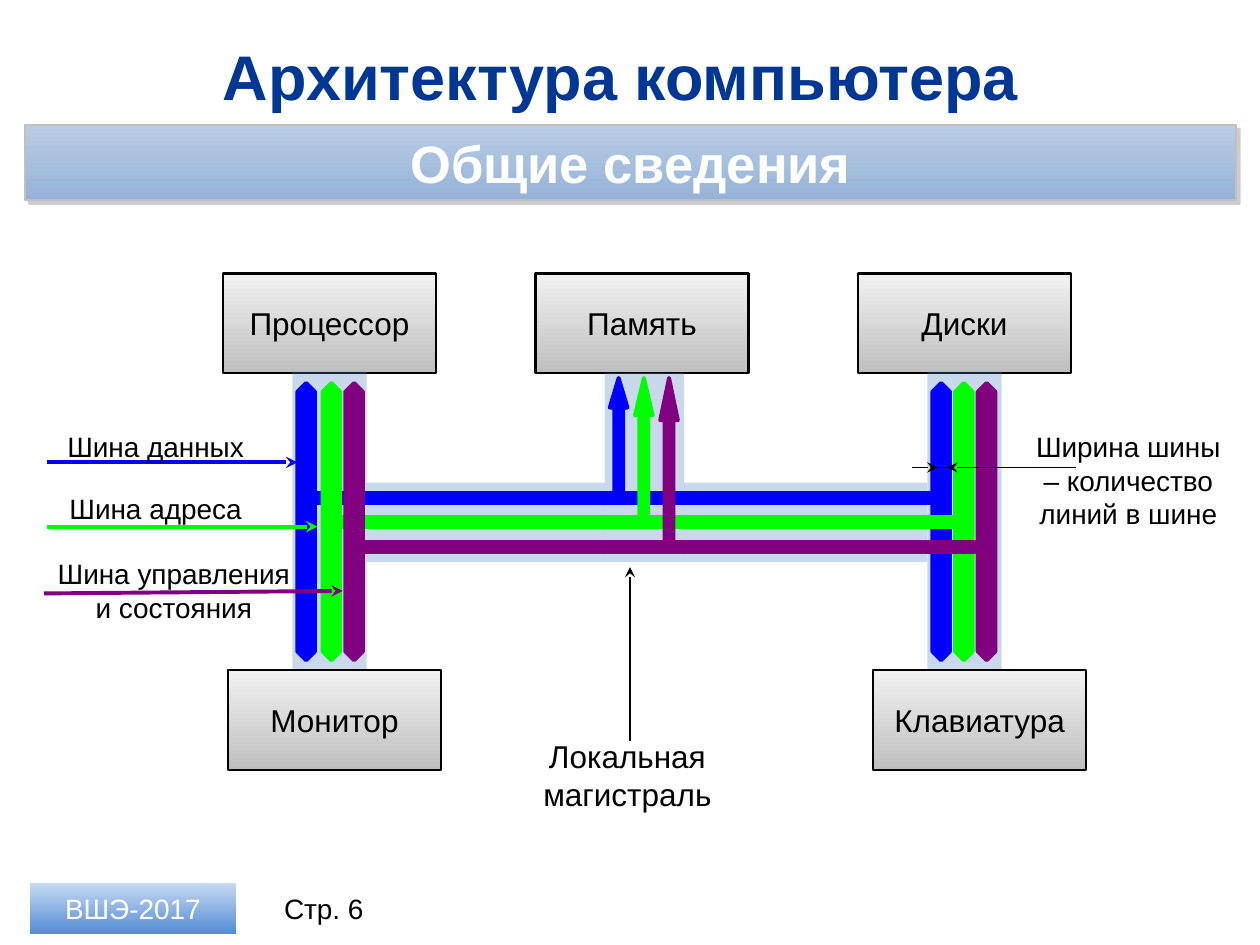
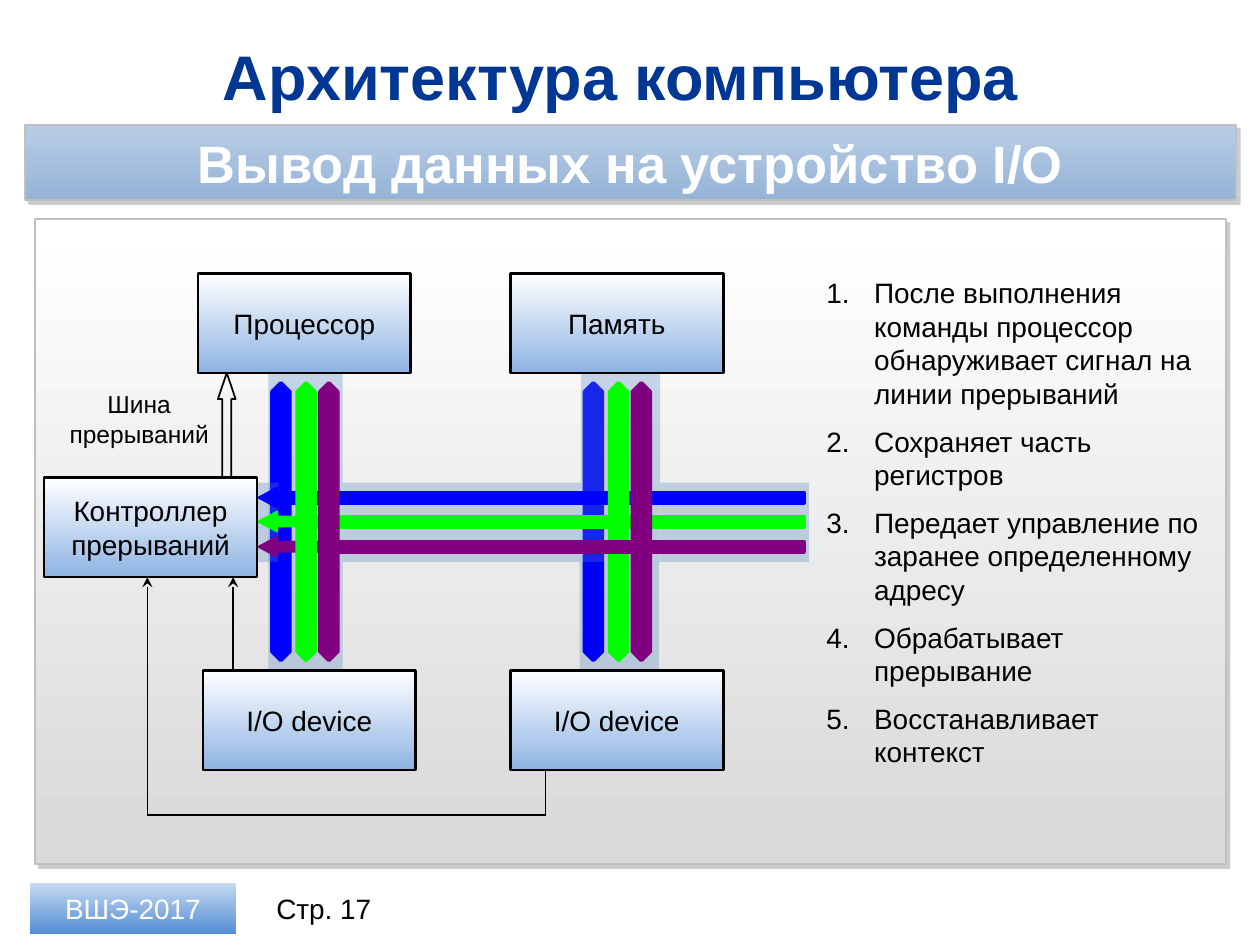
from lxml.etree import SubElement
from pptx import Presentation
from pptx.dml.color import RGBColor
from pptx.enum.shapes import MSO_CONNECTOR, MSO_SHAPE
from pptx.enum.text import MSO_ANCHOR, PP_ALIGN
from pptx.oxml.ns import qn
from pptx.util import Inches, Pt

COLUMNS, ROWS = 100, 75
BLACK = RGBColor(0x00, 0x00, 0x00)
WHITE = RGBColor(0xFF, 0xFF, 0xFF)
NAVY = RGBColor(0x00, 0x37, 0x94)
DATA_BLUE = RGBColor(0x00, 0x00, 0xFF)
ADDRESS_GREEN = RGBColor(0x00, 0xFF, 0x00)
CONTROL_PURPLE = RGBColor(0x80, 0x00, 0x80)
TINT_BLUE = RGBColor(0x4F, 0x81, 0xBD)
EDGE_GREY = RGBColor(0xC0, 0xC0, 0xC0)
SHADOW_GREY = RGBColor(0x80, 0x80, 0x80)
BAND_FADE = (RGBColor(0xB9, 0xCD, 0xE5), RGBColor(0x95, 0xB3, 0xD7))
BADGE_FADE = (RGBColor(0xC6, 0xD9, 0xF1), RGBColor(0x55, 0x8E, 0xD5))
PANEL_FADE = (WHITE, RGBColor(0xD9, 0xD9, 0xD9))
GREY_FADE = (RGBColor(0xF2, 0xF2, 0xF2), RGBColor(0xBF, 0xBF, 0xBF))
BLUE_FADE = (WHITE, RGBColor(0x8E, 0xB4, 0xE3))

BUSES = (DATA_BLUE, ADDRESS_GREEN, CONTROL_PURPLE)
BUS_TOPS = (39.1, 41, 43)
LANES = (0, 2, 3.8)
ARROW_WIDTH = 1.4
UPPER_ROW, LOWER_ROW = 21.7, 53.2


class Sheet:
    font_name = "Arial"

    def __init__(self):
        self.deck = Presentation()
        self.deck.slide_width = Inches(10)
        self.deck.slide_height = Inches(7.5)
        self.page = None

    def across(self, columns):
        return round(self.deck.slide_width * columns / COLUMNS)

    def down(self, rows):
        return round(self.deck.slide_height * rows / ROWS)

    def place(self, area):
        left, top, width, height = area
        return self.across(left), self.down(top), self.across(width), self.down(height)

    def start(self, subtitle, number):
        self.page = self.deck.slides.add_slide(self.deck.slide_layouts[6])
        self.label((2.8, 2.6, 92.9, 6.8), "Архитектура компьютера", 36,
                   NAVY, bold=True, anchor=MSO_ANCHOR.MIDDLE)
        band = self.shape((2, 9.9, 96.1, 6), BAND_FADE, EDGE_GREY)
        self.cast_shadow(band)
        self.fill_text(band.text_frame, [subtitle], 30, WHITE, bold=True)
        badge = self.shape((2.4, 70.1, 16.3, 4), BADGE_FADE)
        self.fill_text(badge.text_frame, ["ВШЭ-2017"], 16, WHITE)
        self.label((20.3, 70.1, 10.8, 4), f"Стр. {number}", 16,
                   anchor=MSO_ANCHOR.MIDDLE)

    def shape(self, area, fill=None, line=None, weight=1, kind=MSO_SHAPE.RECTANGLE):
        shape = self.page.shapes.add_shape(kind, *self.place(area))
        shape.shadow.inherit = False
        if fill is None:
            shape.fill.background()
        elif isinstance(fill, RGBColor):
            shape.fill.solid()
            shape.fill.fore_color.rgb = fill
        else:
            shape.fill.gradient()
            shape.fill.gradient_angle = 270
            for stop, colour in zip(shape.fill.gradient_stops, fill):
                stop.color.rgb = colour
        if line is None:
            shape.line.fill.background()
        else:
            shape.line.color.rgb = line
            shape.line.width = Pt(weight)
        return shape

    def cast_shadow(self, shape):
        effects = shape._element.spPr.find(qn("a:effectLst"))
        shadow = SubElement(effects, qn("a:outerShdw"), blurRad="0",
                            dist=str(Pt(3)), dir="2700000", algn="tl", rotWithShape="0")
        colour = SubElement(shadow, qn("a:srgbClr"), val=str(SHADOW_GREY))
        SubElement(colour, qn("a:alpha"), val="40000")

    def panel(self, area):
        self.cast_shadow(self.shape(area, PANEL_FADE, EDGE_GREY))

    def tint(self, *area):
        shape = self.shape(area, TINT_BLUE)
        colour = shape._element.spPr.find(qn("a:solidFill"))[0]
        SubElement(colour, qn("a:alpha"), val="30000")

    def device(self, left, top, text, fade, size, weight):
        box = self.shape((left, top, 16.9, 7.9), fade, BLACK, weight)
        self.fill_text(box.text_frame, [text], size)

    def bus(self, left, top, right, colour):
        self.shape((left, top, right - left, 0.8), colour, colour, 2.25)

    def arrow(self, area, kind, head, fill, line, weight=2.25):
        shape = self.shape(area, fill, line, weight, kind)
        shape.adjustments[0] = 0.5
        shape.adjustments[1] = head / min(area[2:])

    def double_arrow(self, left, colour):
        self.arrow((left, 30.4, ARROW_WIDTH, 22), MSO_SHAPE.UP_DOWN_ARROW,
                   4.5, colour, colour)

    def up_arrow(self, left, top, height, fill, line, weight=2.25):
        self.arrow((left, top, ARROW_WIDTH, height), MSO_SHAPE.UP_ARROW,
                   height / 4, fill, line, weight)

    def left_arrow(self, left, top, colour):
        self.arrow((left, top, 5.9, 1.6), MSO_SHAPE.LEFT_ARROW,
                   1.5, colour, colour, 1)

    def line(self, start, end, colour=BLACK, weight=1, pointed=True):
        connector = self.page.shapes.add_connector(
            MSO_CONNECTOR.STRAIGHT, self.across(start[0]), self.down(start[1]),
            self.across(end[0]), self.down(end[1]))
        connector.line.color.rgb = colour
        connector.line.width = Pt(weight)
        if pointed:
            outline = connector._element.spPr.find(qn("a:ln"))
            SubElement(outline, qn("a:tailEnd"), type="stealth")
        SubElement(connector._element.spPr, qn("a:effectLst"))

    def label(self, area, text, size, colour=BLACK, bold=False, anchor=MSO_ANCHOR.TOP):
        box = self.page.shapes.add_textbox(*self.place(area))
        self.fill_text(box.text_frame, [text], size, colour, bold, anchor)

    def numbered(self, area, items, size):
        box = self.page.shapes.add_textbox(*self.place(area))
        self.fill_text(box.text_frame, items, size, anchor=MSO_ANCHOR.TOP, numbers=True)

    def fill_text(self, frame, items, size, colour=BLACK, bold=False,
                  anchor=MSO_ANCHOR.MIDDLE, numbers=False):
        frame.word_wrap = True
        frame.vertical_anchor = anchor
        for index, item in enumerate(items):
            para = frame.add_paragraph() if index else frame.paragraphs[0]
            para.alignment = PP_ALIGN.LEFT if numbers else PP_ALIGN.CENTER
            if numbers:
                indent = self.across(3.8)
                properties = para._p.get_or_add_pPr()
                properties.set("marL", str(indent))
                properties.set("indent", str(-indent))
                SubElement(properties, qn("a:buAutoNum"), type="arabicPeriod")
            if index:
                para.space_before = Pt(8)
            for row, text in enumerate(item.split("\n")):
                if row:
                    para.add_line_break()
                span = para.add_run()
                span.text = text
                span.font.name = self.font_name
                span.font.size = Pt(size)
                span.font.bold = bold
                span.font.color.rgb = colour


def build_overview(sheet):
    sheet.start("Общие сведения", 6)
    for left, top, name in (
        (17.7, UPPER_ROW, "Процессор"),
        (42.5, UPPER_ROW, "Память"),
        (68.1, UPPER_ROW, "Диски"),
        (18.1, LOWER_ROW, "Монитор"),
        (69.3, LOWER_ROW, "Клавиатура"),
    ):
        sheet.device(left, top, name, GREY_FADE, 18, 1.25)
    sheet.line((50, 58.8), (50, 45), weight=1.25)
    sheet.label((38.6, 58, 22.4, 7.1), "Локальная магистраль", 18)

    sheet.tint(48, 29.6, 6.3, 15)
    sheet.tint(54.3, 38.3, 19.3, 6.3)
    for left in (23.2, 73.6):
        sheet.tint(left, 29.5, 5.9, 23.6)
    sheet.tint(29.1, 38.3, 18.9, 6.3)

    processor_lanes = [23.6 + lane for lane in LANES]
    sheet.double_arrow(processor_lanes[0], DATA_BLUE)
    for index, colour in enumerate(BUSES):
        sheet.double_arrow(74 + 1.8 * index, colour)
    for index, (top, right, colour) in enumerate(zip(BUS_TOPS, (74.8, 76.8, 78.4), BUSES)):
        sheet.bus(24 + 2 * index, top, right, colour)
    for index, (height, colour) in enumerate(zip((9.4, 11.8, 13.4), BUSES)):
        sheet.up_arrow(48.4 + 2 * index, 30, height, colour, colour)
    for left, colour in zip(processor_lanes[1:], BUSES[1:]):
        sheet.double_arrow(left, colour)

    for start, end, colour in (
        ((3.7, 36.7), (23.6, 36.7), DATA_BLUE),
        ((3.7, 41.8), (25.2, 41.8), ADDRESS_GREEN),
        ((3.5, 47.1), (27.2, 46.9), CONTROL_PURPLE),
    ):
        sheet.line(start, end, colour, 2.25)
    for area, text in (
        ((4.3, 33.6, 16.1, 3.7), "Шина данных"),
        ((4.3, 38.5, 16.1, 3.7), "Шина адреса"),
        ((2.8, 43.7, 22, 6.4), "Шина управления\nи состояния"),
        ((81.1, 33.6, 16.9, 9.1), "Ширина шины – количество линий в шине"),
    ):
        sheet.label(area, text, 16)
    sheet.line((72.4, 37.1), (74.4, 37.1))
    sheet.line((85.4, 37.1), (75.2, 37.1))
    sheet.line((74.4, 37.1), (75.2, 37.1), pointed=False)


def build_output(sheet):
    sheet.start("Вывод данных на устройство I/O", 17)
    sheet.panel((2.8, 17.4, 94.5, 51.2))
    processor_lanes = [21.6 + lane for lane in LANES]
    memory_lanes = [46.4 + lane for lane in LANES]

    sheet.tint(46, 44.6, 6.3, 8.7)
    sheet.double_arrow(memory_lanes[0], DATA_BLUE)
    sheet.tint(52.4, 38.3, 11.8, 6.3)
    sheet.tint(21.3, 29.2, 5.9, 24)
    sheet.tint(46.1, 29.6, 6.3, 15)
    sheet.tint(27.2, 38.3, 18.9, 6.3)
    sheet.double_arrow(processor_lanes[0], DATA_BLUE)
    for index in (0, 1):
        sheet.bus(22 + 2 * index, BUS_TOPS[index], 63.8, BUSES[index])
    for left, colour in zip(memory_lanes[1:], BUSES[1:]):
        sheet.double_arrow(left, colour)
    sheet.bus(26, BUS_TOPS[2], 63.8, CONTROL_PURPLE)

    sheet.tint(20.1, 38.3, 2, 6.3)
    for top, colour in zip(BUS_TOPS, BUSES):
        sheet.left_arrow(20.5, top - 0.4, colour)
    for left, top, name in (
        (15.7, UPPER_ROW, "Процессор"),
        (40.5, UPPER_ROW, "Память"),
        (16.1, LOWER_ROW, "I/O device"),
        (40.5, LOWER_ROW, "I/O device"),
        (3.5, 37.9, "Контроллер\nпрерываний"),
    ):
        sheet.device(left, top, name, BLUE_FADE, 16, 1.5)
    for left, colour in zip(processor_lanes[1:], BUSES[1:]):
        sheet.double_arrow(left, colour)

    sheet.line((43.3, 61.1), (43.3, 64.7), pointed=False)
    sheet.line((43.3, 64.7), (11.7, 64.7), pointed=False)
    sheet.line((11.7, 64.7), (11.7, 45.8))
    sheet.line((18.5, 53.2), (18.5, 45.8))
    sheet.up_arrow(17.3, 29.6, 8.3, None, BLACK, 1)
    sheet.label((2.8, 30.4, 16.5, 5.7), "Шина\nпрерываний", 14)
    sheet.numbered((64.6, 21.4, 32.7, 41.4), (
        "После выполнения команды процессор обнаруживает сигнал на линии прерываний",
        "Сохраняет часть регистров",
        "Передает управление по заранее определенному адресу",
        "Обрабатывает прерывание",
        "Восстанавливает контекст",
    ), 16)


def main():
    sheet = Sheet()
    build_overview(sheet)
    build_output(sheet)
    sheet.deck.save("out.pptx")


if __name__ == "__main__":
    main()
